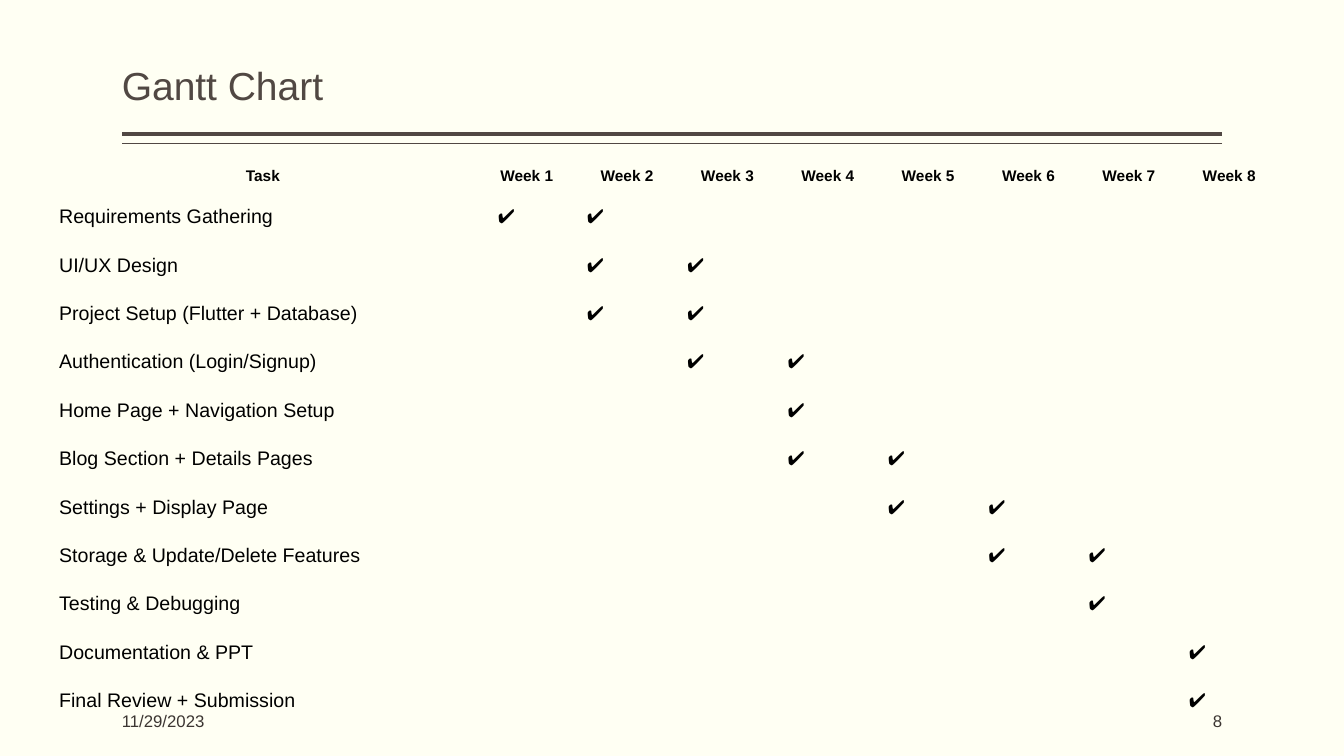
from lxml.etree import SubElement
from pptx import Presentation
from pptx.dml.color import RGBColor
from pptx.enum.shapes import MSO_CONNECTOR
from pptx.enum.text import MSO_ANCHOR, PP_ALIGN
from pptx.oxml.ns import qn
from pptx.util import Cm, Pt

NO_STYLE = "{2D5ABB26-0587-4C30-8999-92F81FD0307C}"
CHECK = "✔️"
WEEKS = 8
# Each task with the weeks in which it runs
TASKS = [
    ("Requirements Gathering", (1, 2)),
    ("UI/UX Design", (2, 3)),
    ("Project Setup (Flutter + Database)", (2, 3)),
    ("Authentication (Login/Signup)", (3, 4)),
    ("Home Page + Navigation Setup", (4,)),
    ("Blog Section + Details Pages", (4, 5)),
    ("Settings + Display Page", (5, 6)),
    ("Storage & Update/Delete Features", (6, 7)),
    ("Testing & Debugging", (7,)),
    ("Documentation & PPT", (8,)),
    ("Final Review + Submission", (8,)),
]


def color(value):
    return RGBColor.from_string(value)


class GanttPage:
    font = "Arial"
    ink = "514843"
    footer_ink = "3C3632"
    left, right = 3.07, 30.8
    padding = 0.25

    def __init__(self, deck):
        self.page = deck.slides.add_slide(deck.slide_layouts[6])
        fill = self.page.background.fill
        fill.solid()
        fill.fore_color.rgb = color("FFFFF3")

    def style(self, para, size, ink, bold=False, align=PP_ALIGN.LEFT):
        para.alignment = align
        for span in para.runs:
            span.font.name = self.font
            span.font.size = Pt(size)
            span.font.bold = bold
            span.font.color.rgb = color(ink)

    def rule(self, top, width):
        line = self.page.shapes.add_connector(
            MSO_CONNECTOR.STRAIGHT, Cm(self.right), Cm(top), Cm(self.left), Cm(top))
        line.line.color.rgb = color(self.ink)
        line.line.width = Pt(width)
        SubElement(line._element.spPr, qn("a:effectLst"))

    def text(self, words, place, size, ink, anchor, align=PP_ALIGN.LEFT):
        box = self.page.shapes.add_textbox(*[Cm(length) for length in place])
        frame = box.text_frame
        frame.word_wrap = True
        frame.vertical_anchor = anchor
        frame.margin_left = frame.margin_right = 0
        frame.text = words
        self.style(frame.paragraphs[0], size, ink, align=align)
        return frame.paragraphs[0]

    def cell(self, cell, words, size, bold=False, align=PP_ALIGN.LEFT):
        cell.text = words
        cell.margin_top = cell.margin_bottom = Cm(self.padding)
        self.style(cell.text_frame.paragraphs[0], size, "000000", bold, align)

    def schedule(self):
        head, row = 1.02, 1.22
        widths = [10.77] + [2.53] * WEEKS
        frame = self.page.shapes.add_table(
            len(TASKS) + 1, WEEKS + 1, Cm(1.24), Cm(3.9),
            Cm(sum(widths)), Cm(head + row * len(TASKS)))
        table = frame.table
        table.first_row = table.horz_banding = False
        table._tbl.tblPr.find(qn("a:tableStyleId")).text = NO_STYLE
        for column, width in zip(table.columns, widths):
            column.width = Cm(width)
        for index, line in enumerate(table.rows):
            line.height = Cm(row if index else head)
        # Empty cells get no vertical margin, so they never stretch a row
        for cell in table.iter_cells():
            cell.fill.background()
            cell.margin_left = cell.margin_right = Cm(self.padding)
            cell.margin_top = cell.margin_bottom = 0

        # Header row
        titles = ["Task"] + [f"Week {week}" for week in range(1, WEEKS + 1)]
        for column, title in enumerate(titles):
            cell = table.cell(0, column)
            self.cell(cell, title, 11, True, PP_ALIGN.CENTER)
            cell.text_frame.paragraphs[0].line_spacing = 1.15

        # Tasks and their check marks
        for index, (task, weeks) in enumerate(TASKS, 1):
            self.cell(table.cell(index, 0), task, 14)
            for week in weeks:
                self.cell(table.cell(index, week), CHECK, 14)
        table.cell(1, 1).margin_left = Cm(self.padding + 0.29)


def main():
    deck = Presentation()
    deck.slide_width, deck.slide_height = Cm(33.87), Cm(19.05)
    page = GanttPage(deck)

    # Title above a double rule
    page.rule(3.38, 3)
    page.rule(3.62, 1)
    title = page.text("Gantt Chart", (page.left, 1, 27.73, 1.88), 27.9,
                      page.ink, MSO_ANCHOR.BOTTOM)
    title.line_spacing = 0.9

    # Footer: page number and date
    page.text("8", (page.right - 5.08, 17.65, 5.08, 1.02), 12,
              page.footer_ink, MSO_ANCHOR.MIDDLE, PP_ALIGN.RIGHT)
    page.text("11/29/2023", (page.left, 17.65, 5.08, 1.02), 12,
              page.footer_ink, MSO_ANCHOR.MIDDLE)

    page.schedule()
    deck.save("out.pptx")


if __name__ == "__main__":
    main()
